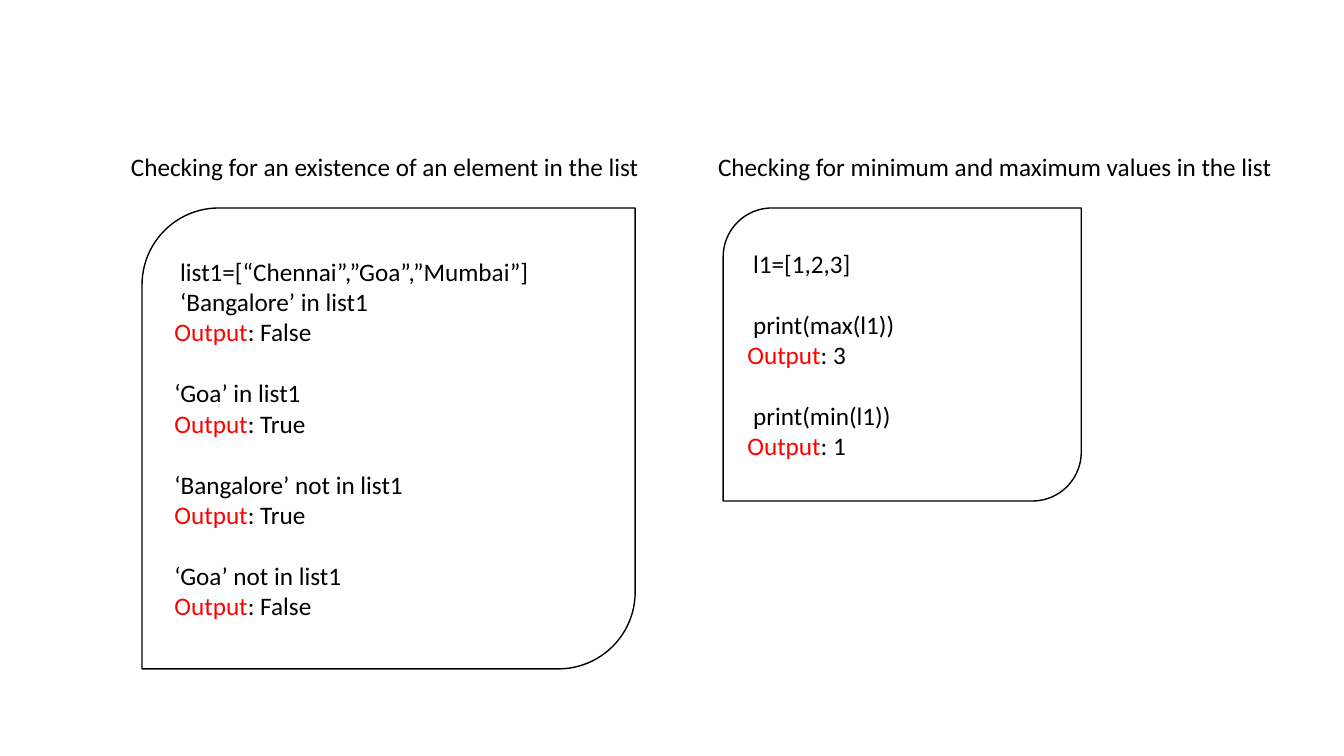
import pptx
import pptx.util
import pptx.dml.color
import pptx.enum.shapes
import pptx.enum.text

BLACK = pptx.dml.color.RGBColor(0x00, 0x00, 0x00)
WHITE = pptx.dml.color.RGBColor(0xFF, 0xFF, 0xFF)
RED = pptx.dml.color.RGBColor(0xFF, 0x00, 0x00)
PIXELS_PER_INCH = 100.8


def pixels(*lengths):
    return [pptx.util.Inches(length / PIXELS_PER_INCH) for length in lengths]


class ListSlide:
    font_name = "Calibri"
    font_size = pptx.util.Pt(18)
    group_gap = pptx.util.Pt(22)

    def __init__(self, page):
        self.page = page

    def add_span(self, para, text, color=BLACK):
        span = para.add_run()
        span.text = text
        span.font.name = self.font_name
        span.font.size = self.font_size
        span.font.color.rgb = color

    def add_heading(self, text, left, top, width, height):
        box = self.page.shapes.add_textbox(*pixels(left, top, width, height))
        box.text_frame.word_wrap = False
        box.text_frame.auto_size = pptx.enum.text.MSO_AUTO_SIZE.SHAPE_TO_FIT_TEXT
        self.add_span(box.text_frame.paragraphs[0], text)

    def add_code_card(self, groups, left, top, width, height):
        card = self.page.shapes.add_shape(
            pptx.enum.shapes.MSO_SHAPE.ROUND_2_DIAG_RECTANGLE,
            *pixels(left, top, width, height))
        card.shadow.inherit = False
        card.fill.solid()
        card.fill.fore_color.rgb = WHITE
        card.line.color.rgb = BLACK
        card.line.width = pptx.util.Pt(1)
        frame = card.text_frame
        frame.word_wrap = True
        frame.vertical_anchor = pptx.enum.text.MSO_ANCHOR.MIDDLE
        para = frame.paragraphs[0]
        for group_index, (statements, result) in enumerate(groups):
            for line_index, statement in enumerate(statements):
                if group_index or line_index:
                    para = frame.add_paragraph()
                if group_index and line_index == 0:
                    para.space_before = self.group_gap
                para.alignment = pptx.enum.text.PP_ALIGN.LEFT
                self.add_span(para, statement)
            if result:
                para = frame.add_paragraph()
                para.alignment = pptx.enum.text.PP_ALIGN.LEFT
                self.add_span(para, "Output", RED)
                self.add_span(para, ": " + result)


deck = pptx.Presentation()
deck.slide_width = pptx.util.Inches(13.33)
deck.slide_height = pptx.util.Inches(7.5)
slide = ListSlide(deck.slides.add_slide(deck.slide_layouts[6]))

HEADING_TOP, HEADING_HEIGHT, CARD_TOP = 146, 40, 208

# Membership tests
slide.add_heading("Checking for an existence of an element in the list",
                  121, HEADING_TOP, 534, HEADING_HEIGHT)
membership_groups = [
    ([" list1=[“Chennai”,”Goa”,”Mumbai”]", " ‘Bangalore’ in list1"], "False"),
    (["‘Goa’ in list1"], "True"),
    (["‘Bangalore’ not in list1"], "True"),
    (["‘Goa’ not in list1"], "False"),
]
slide.add_code_card(membership_groups, 142, CARD_TOP, 493, 461)

# Minimum and maximum
slide.add_heading("Checking for minimum and maximum values in the list",
                  708, HEADING_TOP, 581, HEADING_HEIGHT)
extremes_groups = [
    ([" l1=[1,2,3]"], None),
    ([" print(max(l1))"], "3"),
    ([" print(min(l1))"], "1"),
]
slide.add_code_card(extremes_groups, 723, CARD_TOP, 358, 293)

deck.save("out.pptx")
